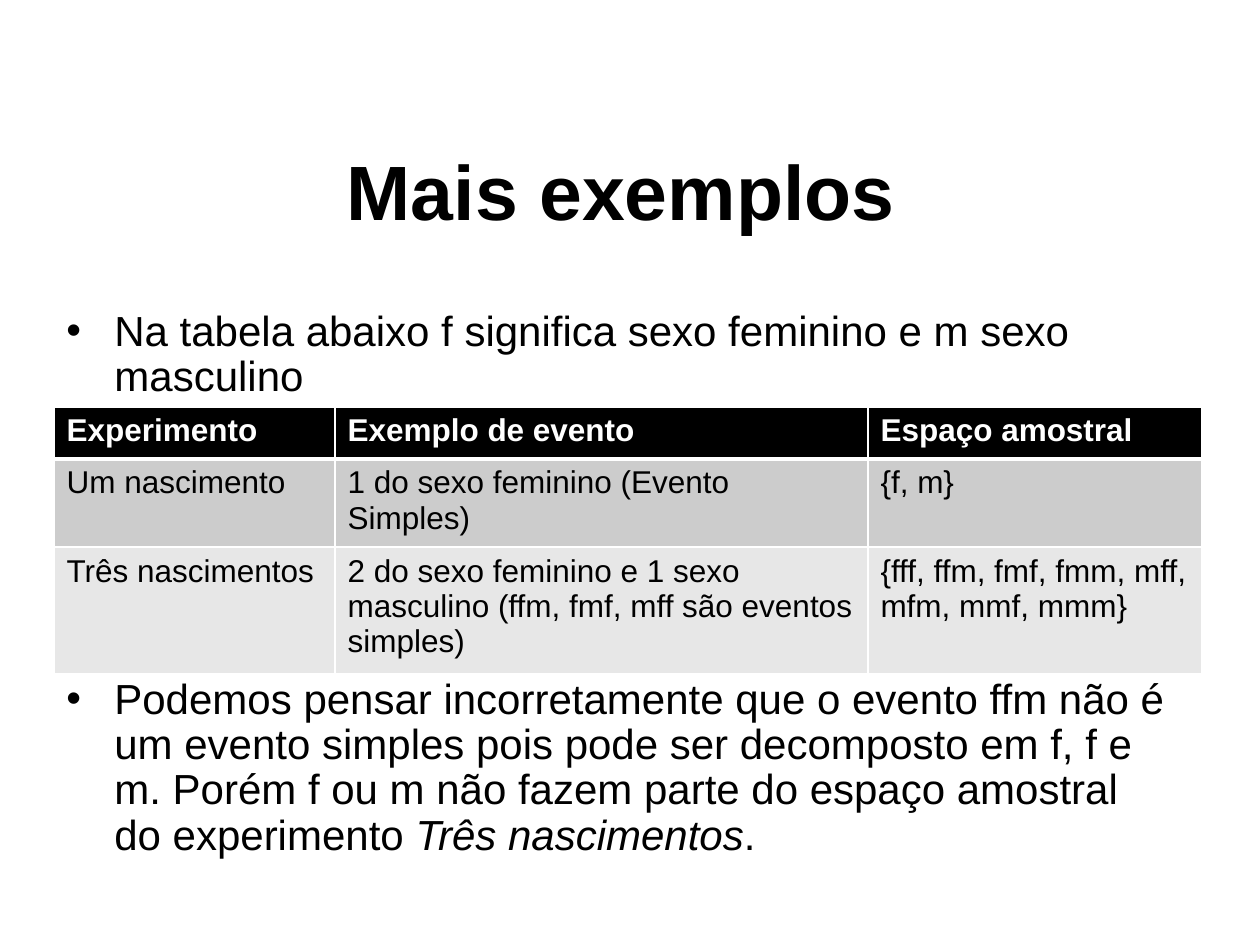
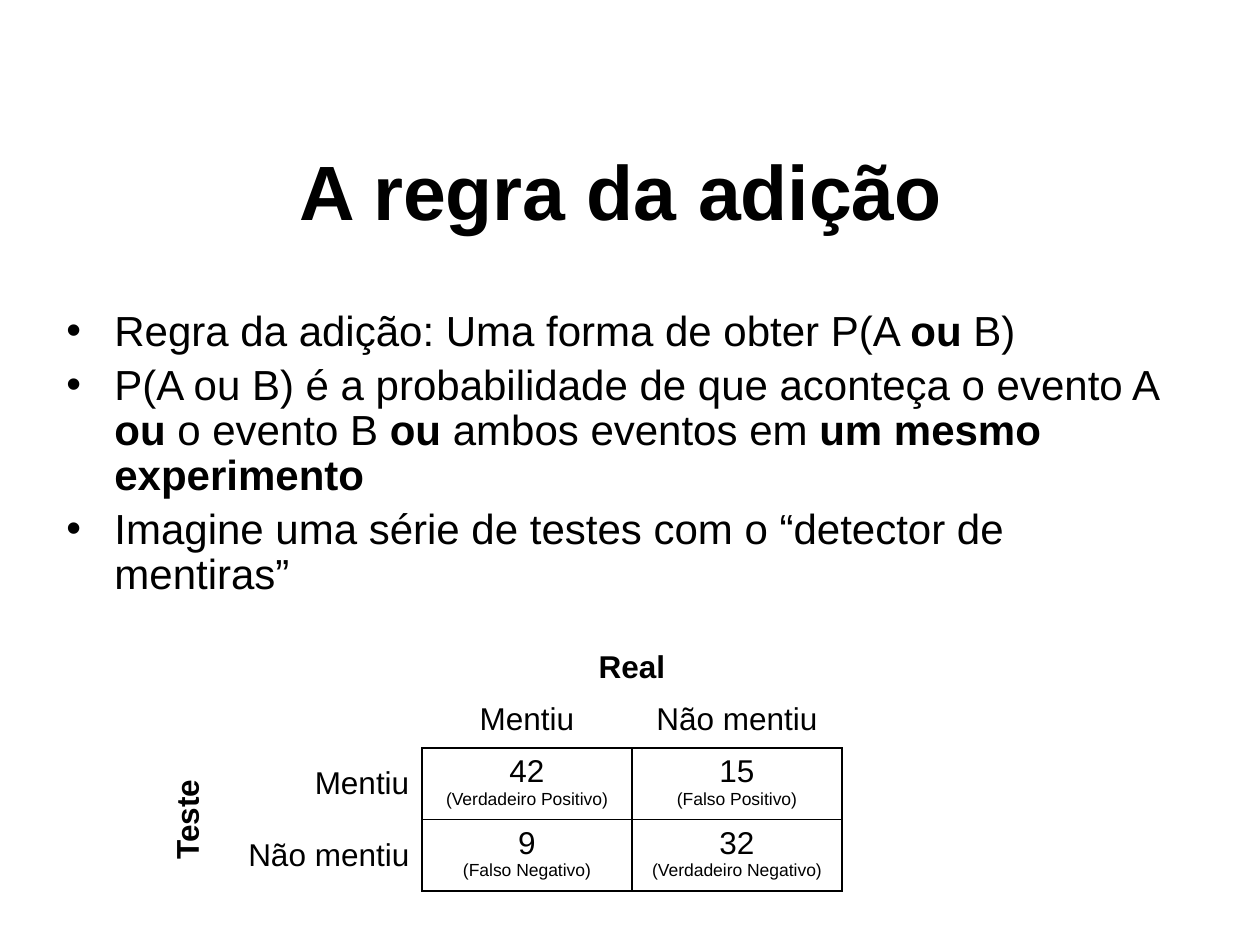
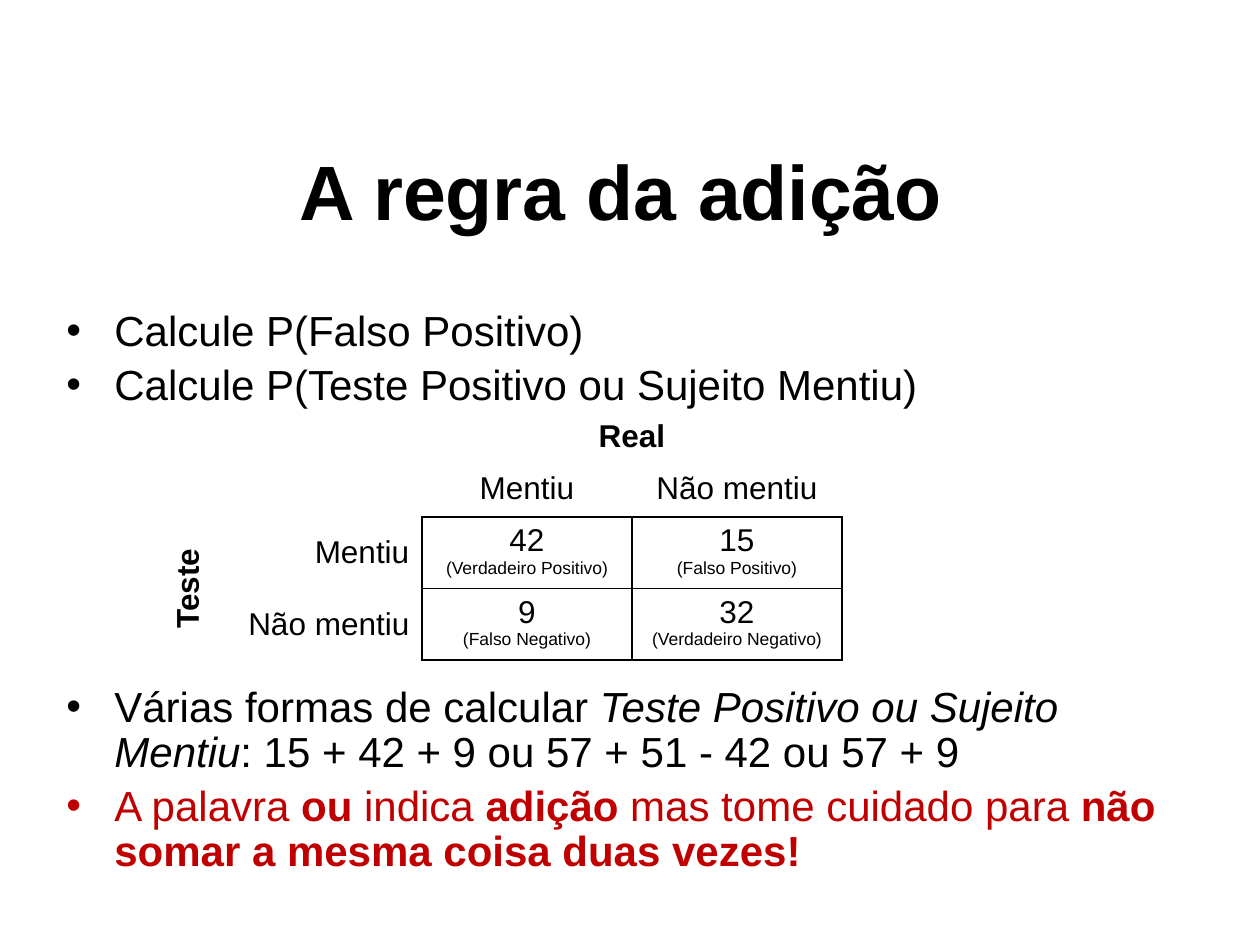
from lxml.etree import SubElement
from pptx import Presentation
from pptx.dml.color import RGBColor
from pptx.enum.text import MSO_ANCHOR as Anchor, PP_ALIGN as Align
from pptx.oxml.ns import qn
from pptx.util import Emu, Pt

PX = 914400 // 126
BLACK = RGBColor(0x00, 0x00, 0x00)
WHITE = RGBColor(0xFF, 0xFF, 0xFF)
RED = RGBColor(0xC0, 0x00, 0x00)
BAND_DARK = RGBColor(0xCC, 0xCC, 0xCC)
BAND_LIGHT = RGBColor(0xE7, 0xE7, 0xE7)
FONT = "Arial"
PLAIN_TABLE_STYLE = "{2D5ABB26-0587-4C30-8999-92F81FD0307C}"
TITLE_BOX = (54, 125, 1134, 129)
BODY_BOX = (54, 304, 1134, 535)
BULLET_INDENT = 48
PARA_SPACE = Pt(4.8)
TABLE_GAP = 277
ROW_HEIGHT = 52

BIRTHS = [
    ["Experimento", "Exemplo de evento", "Espaço amostral"],
    ["Um nascimento", "1 do sexo feminino (Evento Simples)", "{f, m}"],
    ["Três nascimentos",
     "2 do sexo feminino e 1 sexo masculino (ffm, fmf, mff são eventos simples)",
     "{fff, ffm, fmf, fmm, mff, mfm, mmf, mmm}"],
]
ANSWERS = ["Mentiu", "Não mentiu"]
OUTCOMES = [
    ["42\n(Verdadeiro Positivo)", "15\n(Falso Positivo)"],
    ["9\n(Falso Negativo)", "32\n(Verdadeiro Negativo)"],
]


def px(length):
    return Emu(length * PX)


def style_run(run, size, color=BLACK, bold=False, italic=False):
    font = run.font
    font.name = FONT
    font.size = Pt(size)
    font.bold = bold
    font.italic = italic
    font.color.rgb = color


def add_text_frame(page, box):
    frame = page.shapes.add_textbox(*map(px, box)).text_frame
    frame.word_wrap = True
    return frame


def add_title(page, text, box=TITLE_BOX):
    frame = add_text_frame(page, box)
    frame.vertical_anchor = Anchor.MIDDLE
    frame.text = text
    para = frame.paragraphs[0]
    para.alignment = Align.CENTER
    style_run(para.runs[0], 44, bold=True)


def add_bullet_mark(para):
    props = para._p.get_or_add_pPr()
    props.set("marL", str(px(BULLET_INDENT)))
    props.set("indent", str(-px(BULLET_INDENT)))
    SubElement(props, qn("a:buFont"), typeface=FONT)
    SubElement(props, qn("a:buChar"), char="•")


def add_bullets(page, bullets, gap_before=None, red_bullet=None, box=BODY_BOX):
    frame = add_text_frame(page, box)
    for index, spans in enumerate(bullets):
        para = frame.add_paragraph() if index else frame.paragraphs[0]
        add_bullet_mark(para)
        para.line_spacing = 0.9
        if index:
            para.space_before = px(TABLE_GAP) if index == gap_before else PARA_SPACE
        color = RED if index == red_bullet else BLACK
        for text, emphasis in spans:
            run = para.add_run()
            run.text = text
            style_run(run, 24, color, emphasis == "bold", emphasis == "italic")


def add_plain_table(page, left, top, widths, row_count):
    frame = page.shapes.add_table(
        row_count, len(widths), px(left), px(top),
        px(sum(widths)), px(ROW_HEIGHT * row_count))
    table = frame.table
    table.first_row = table.horz_banding = False
    table._tbl.tblPr.find(qn("a:tableStyleId")).text = PLAIN_TABLE_STYLE
    for column, width in zip(table.columns, widths):
        column.width = px(width)
    for row in table.rows:
        row.height = px(ROW_HEIGHT)
    return table


def set_borders(cell, color, **widths):
    props = cell._tc.get_or_add_tcPr()
    for side in "LRTB":
        if side in widths:
            line = SubElement(props, qn(f"a:ln{side}"), w=str(Pt(widths[side])))
            fill = SubElement(line, qn("a:solidFill"))
            SubElement(fill, qn("a:srgbClr"), val=str(color))


def fill_cell(cell, text, align=Align.LEFT, color=BLACK, bold=False):
    cell.text_frame.text = text
    for para, size in zip(cell.text_frame.paragraphs, (18, 10)):
        para.alignment = align
        style_run(para.runs[0], size, color, bold)


def add_births_table(page, left, top):
    table = add_plain_table(page, left, top, (281, 533, 334), len(BIRTHS))
    fills = (BLACK, BAND_DARK, BAND_LIGHT)
    for row, (texts, fill) in enumerate(zip(BIRTHS, fills)):
        header = row == 0
        for column, text in enumerate(texts):
            cell = table.cell(row, column)
            set_borders(cell, WHITE, L=1, R=1,
                        T=3 if row == 1 else 1, B=3 if header else 1)
            cell.fill.solid()
            cell.fill.fore_color.rgb = fill
            fill_cell(cell, text, color=WHITE if header else BLACK, bold=header)


def add_lie_test_table(page, left, top):
    table = add_plain_table(page, left, top, (63, 195, 210, 210), 4)
    real = table.cell(0, 2)
    real.merge(table.cell(0, 3))
    fill_cell(real, "Real", Align.CENTER, bold=True)
    test = table.cell(2, 0)
    test.merge(table.cell(3, 0))
    fill_cell(test, "Teste", Align.CENTER, bold=True)
    test.vertical_anchor = Anchor.BOTTOM
    test._tc.get_or_add_tcPr().set("vert", "vert270")
    for index, answer in enumerate(ANSWERS, start=2):
        heading = table.cell(1, index)
        set_borders(heading, BLACK, B=1)
        fill_cell(heading, answer, Align.CENTER)
        label = table.cell(index, 1)
        set_borders(label, BLACK, R=1)
        label.vertical_anchor = Anchor.MIDDLE
        fill_cell(label, answer, Align.RIGHT)
        for column, outcome in enumerate(OUTCOMES[index - 2], start=2):
            cell = table.cell(index, column)
            set_borders(cell, BLACK, L=1, R=1, T=1, B=1)
            fill_cell(cell, outcome, Align.CENTER)


def build_examples(page):
    add_title(page, "Mais exemplos")
    add_bullets(page, [
        [("Na tabela abaixo f significa sexo feminino e m sexo masculino", "")],
        [("Podemos pensar incorretamente que o evento ffm não é um evento simples "
          "pois pode ser decomposto em f, f e m. Porém f ou m não fazem parte do "
          "espaço amostral do experimento ", ""),
         ("Três nascimentos", "italic"), (".", "")],
    ], gap_before=1)
    add_births_table(page, 54, 407)


def build_addition_rule(page):
    add_title(page, "A regra da adição")
    add_bullets(page, [
        [("Regra da adição: Uma forma de obter P(A ", ""), ("ou", "bold"), (" B)", "")],
        [("P(A ou B) é a probabilidade de que aconteça o evento A ", ""),
         ("ou", "bold"), (" o evento B ", ""), ("ou", "bold"),
         (" ambos eventos em ", ""), ("um mesmo experimento", "bold")],
        [("Imagine uma série de testes com o “detector de mentiras”", "")],
    ])
    add_lie_test_table(page, 164, 644)


def build_addition_exercise(page):
    add_title(page, "A regra da adição")
    add_bullets(page, [
        [("Calcule P(Falso Positivo)", "")],
        [("Calcule P(Teste Positivo ou Sujeito Mentiu)", "")],
        [("Várias formas de calcular ", ""),
         ("Teste Positivo ou Sujeito Mentiu", "italic"),
         (": 15 + 42 + 9 ou 57 + 51 - 42 ou 57 + 9", "")],
        [("A palavra ", ""), ("ou", "bold"), (" indica ", ""), ("adição", "bold"),
         (" mas tome cuidado para ", ""),
         ("não somar a mesma coisa duas vezes!", "bold")],
    ], gap_before=2, red_bullet=3)
    add_lie_test_table(page, 164, 413)


def main():
    deck = Presentation()
    deck.slide_width = px(1260)
    deck.slide_height = px(945)
    for build in (build_examples, build_addition_rule, build_addition_exercise):
        build(deck.slides.add_slide(deck.slide_layouts[6]))
    deck.save("out.pptx")


if __name__ == "__main__":
    main()
